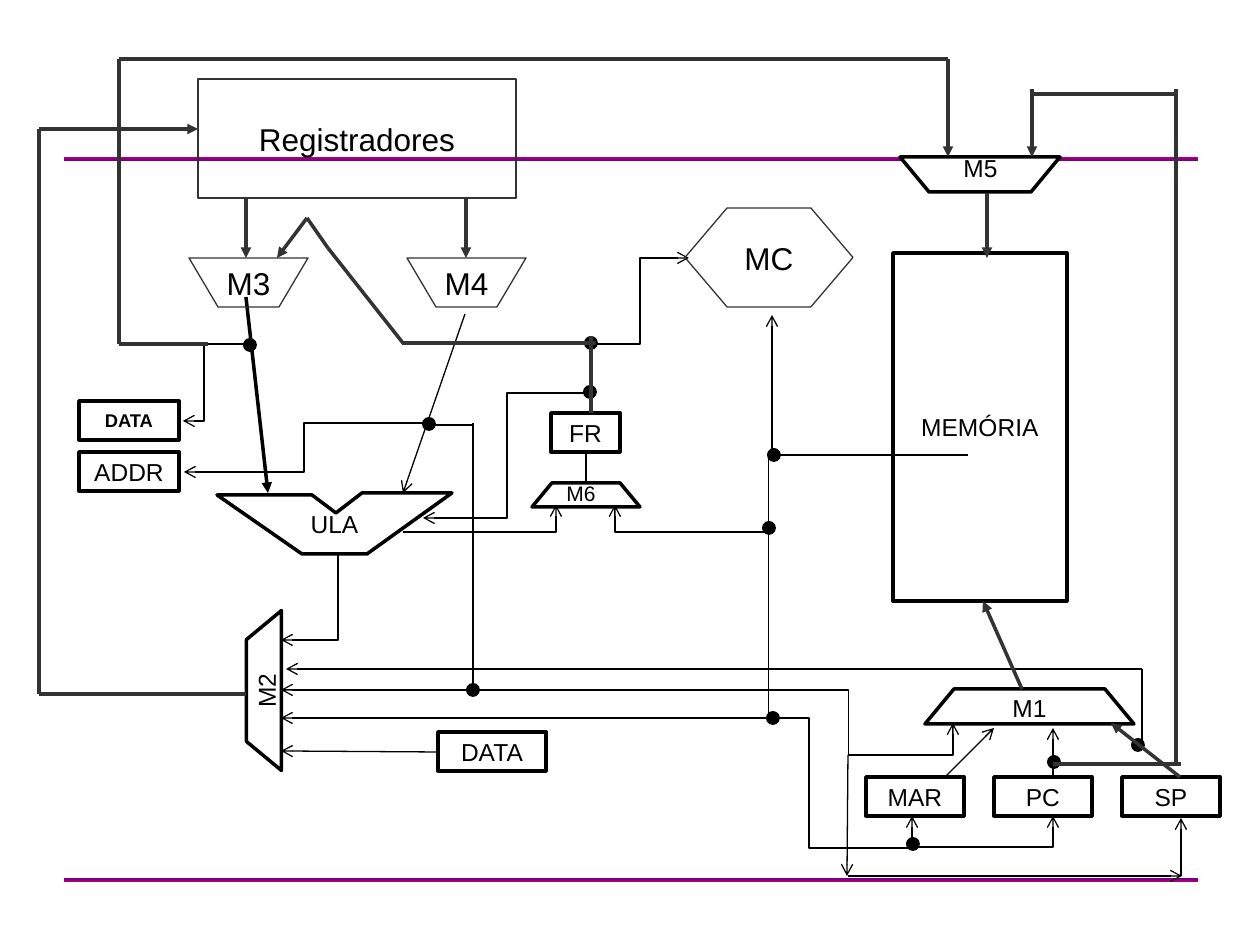
import pptx
import pptx.util
from lxml import etree
from pptx.dml.color import RGBColor
from pptx.enum.shapes import MSO_CONNECTOR, MSO_SHAPE
from pptx.enum.text import MSO_ANCHOR, PP_ALIGN
from pptx.oxml.ns import qn

PX = 914400 // 126
COLORS = {"ink": "000000", "gray": "333333", "paper": "FFFFFF",
          "violet": "66008F", "magenta": "BA0066"}
RECT, TRAPEZOID = MSO_SHAPE.RECTANGLE, MSO_SHAPE.TRAPEZOID

# top, first colour, last colour
RULES = [(157, "violet", "magenta"), (878, "magenta", "violet")]

# label, preset, (left, top, width, height), rotation
UNITS = [
    ("MEMÓRIA", RECT, (893, 253, 174, 348), 0),
    ("M1", TRAPEZOID, (925, 689, 209, 35), 0),
    ("", TRAPEZOID, (900, 157, 160, 35), 180),
    ("M2", TRAPEZOID, (184, 673, 160, 35), 270),
    ("FR", RECT, (551, 413, 69, 39), 0),
    ("", TRAPEZOID, (532, 483, 108, 24), 0),
    ("DATA", RECT, (438, 732, 108, 39), 0),
    ("ADDR", RECT, (79, 452, 100, 39), 0),
] + [(name, RECT, (866 + 128 * i, 777, 98, 39), 0)
     for i, name in enumerate(["MAR", "PC", "SP"])]
DATA_INPUT = (79, 401, 100, 39)
ULA = [(217, 495), (312, 495), (336, 513), (362, 493), (452, 493), (367, 554), (302, 554)]
REGISTERS = (198, 79, 318, 119)
CONTROL = (685, 208, 168, 99)
SMALL_MUXES = [("M4", 407), ("M3", 189)]
MUX_OUTLINE = [(0, 258), (119, 258), (90, 307), (29, 307)]
# label, (left, top, width, height), size
MUX_LABELS = [("M5", (951, 147, 59, 42), 14), ("M6", (554, 474, 54, 38), 12)]

# corner points of each route, in drawing order
BUS_ARROWS = [
    [(945, 777), (994, 728)],
    [(1053, 777), (1053, 728)],
    [(968, 455), (769, 455), (769, 718), (281, 718)],
    [(755, 718), (809, 718), (809, 848), (912, 848), (912, 816)],
    [(916, 847), (1053, 847), (1053, 816)],
    [(344, 690), (849, 690), (849, 755), (953, 755), (953, 723)],
    [(465, 314), (403, 493)],
    [(403, 532), (556, 532), (556, 505)],
    [(767, 532), (615, 532), (615, 505)],
    [(772, 452), (772, 315)],
    [(591, 393), (507, 393), (507, 518), (423, 518)],
    [(438, 752), (281, 751)],
    [(423, 423), (304, 423), (304, 472), (184, 472)],
    [(246, 344), (204, 344), (204, 421), (183, 421)],
    [(591, 344), (640, 344), (640, 258), (689, 258)],
    [(1142, 669), (286, 669)],
    [(1181, 876), (1181, 818)],
    [(848, 876), (1182, 876)],
    [(848, 755), (847, 876)],
]
# these run from the arrowhead back to their source
M2_INPUTS = [[(281, 640), (338, 640), (338, 553)],
             [(281, 690), (473, 690), (473, 423)]]
BUS_LINES = [[(473, 425), (423, 425)], [(586, 483), (586, 452)], [(1142, 748), (1142, 669)]]
M3_TO_ULA = [(246, 297), (268, 493)]
THIN_ARROWS = [
    [(307, 218), (277, 258)], [(246, 198), (246, 258)], [(466, 198), (466, 258)],
    [(39, 129), (198, 129)], [(1180, 777), (1111, 723)], [(948, 59), (948, 157)],
    [(987, 193), (987, 258)], [(1022, 689), (983, 601)], [(1032, 89), (1032, 157)],
]
THIN_LINES = [
    [(246, 694), (39, 694)], [(39, 129), (39, 694)], [(307, 218), (328, 248)],
    [(402, 343), (596, 343)], [(591, 413), (591, 336)], [(328, 248), (403, 343)],
    [(208, 344), (119, 344)], [(119, 59), (119, 344)], [(948, 59), (119, 59)],
    [(1032, 94), (1176, 94)], [(1053, 764), (1181, 764)], [(1176, 764), (1176, 89)],
]
JUNCTIONS = [(591, 343), (590, 392), (429, 424), (250, 345), (473, 690), (773, 718),
             (913, 844), (1054, 762), (769, 528), (774, 455), (1138, 745)]
JUNCTION_SIZE = 14


def rgb(name):
    return RGBColor.from_string(COLORS[name])


def emu(lengths):
    return [n * PX for n in lengths]


def write(shape, text, size=14, bold=False, align=PP_ALIGN.CENTER,
          anchor=MSO_ANCHOR.MIDDLE, wrap=True):
    frame = shape.text_frame
    frame.word_wrap = wrap
    frame.vertical_anchor = anchor
    paragraph = frame.paragraphs[0]
    paragraph.alignment = align
    run = paragraph.add_run()
    run.text = text
    run.font.name = "Arial"
    run.font.size = pptx.util.Pt(size)
    run.font.bold = bold
    run.font.color.rgb = rgb("ink")


def paint(shape, fill=None, line=None, width=0):
    shape.shadow.inherit = False
    if fill:
        shape.fill.solid()
        shape.fill.fore_color.rgb = rgb(fill)
    else:
        shape.fill.background()
    if line:
        shape.line.color.rgb = rgb(line)
        shape.line.width = pptx.util.Pt(width)
    else:
        shape.line.fill.background()
    return shape


def add_unit(slide, preset, box, **look):
    return paint(slide.shapes.add_shape(preset, *emu(box)), **look)


def add_outline(slide, points, **look):
    builder = slide.shapes.build_freeform(*points[0], scale=PX)
    builder.add_line_segments(points[1:], close=True)
    return paint(builder.convert_to_shape(), **look)


def add_wire(slide, points, color="ink", width=0.75, end=None, arrow="arrow"):
    """Draw a straight or elbow connector; end is headEnd or tailEnd."""
    (x1, y1), (x2, y2) = points[0], points[-1]
    bends = len(points) - 2
    kind = MSO_CONNECTOR.ELBOW if bends else MSO_CONNECTOR.STRAIGHT
    wire = slide.shapes.add_connector(kind, *emu((x1, y1, x2, y2)))
    wire.line.color.rgb = rgb(color)
    wire.line.width = pptx.util.Pt(width)
    properties = wire._element.spPr
    if bends:
        geometry = properties.find(qn("a:prstGeom"))
        geometry.set("prst", f"bentConnector{bends + 1}")
        ratios = []
        if bends > 1:
            ratios.append((points[1][0] - x1) / (x2 - x1))
        if bends > 2:
            ratios.append((points[2][1] - y1) / (y2 - y1))
        guides = geometry.find(qn("a:avLst"))
        for i, ratio in enumerate(ratios, 1):
            etree.SubElement(guides, qn("a:gd"), name=f"adj{i}",
                             fmla=f"val {round(ratio * 100000)}")
    if end:
        etree.SubElement(properties.find(qn("a:ln")), qn(f"a:{end}"), type=arrow)
    etree.SubElement(properties, qn("a:effectLst"))


def main():
    deck = pptx.Presentation()
    deck.slide_width, deck.slide_height = emu((1260, 945))
    slide = deck.slides.add_slide(deck.slide_layouts[6])

    for top, *ends in RULES:
        rule = add_unit(slide, RECT, (64, top, 1134, 4))
        rule.fill.gradient()
        rule.fill.gradient_angle = 90
        for stop, color, position in zip(rule.fill.gradient_stops, ends, (0, 1)):
            stop.color.rgb = rgb(color)
            stop.position = position

    solid = {"fill": "paper", "line": "ink", "width": 2}
    write(add_outline(slide, ULA, **solid), "ULA")
    for label, preset, box, rotation in UNITS:
        unit = add_unit(slide, preset, box, **solid)
        unit.rotation = rotation
        if preset == TRAPEZOID:
            unit.adjustments[0] = 0.83
        if label:
            write(unit, label)
    write(add_unit(slide, RECT, DATA_INPUT, **solid), "DATA", size=10.5, bold=True)

    for route in BUS_ARROWS:
        add_wire(slide, route, end="tailEnd")
    for route in M2_INPUTS:
        add_wire(slide, route, end="headEnd")
    for route in BUS_LINES:
        add_wire(slide, route)
    for x, y in JUNCTIONS:
        corner = (x - JUNCTION_SIZE // 2, y - JUNCTION_SIZE // 2)
        add_unit(slide, MSO_SHAPE.OVAL, (*corner, JUNCTION_SIZE, JUNCTION_SIZE), fill="ink")

    for label, box, size in MUX_LABELS:
        write(slide.shapes.add_textbox(*emu(box)), label, size=size,
              align=PP_ALIGN.LEFT, anchor=MSO_ANCHOR.TOP, wrap=False)
    add_wire(slide, M3_TO_ULA, width=0, end="tailEnd", arrow="triangle")
    for label, left in SMALL_MUXES:
        mux = add_outline(slide, [(left + x, y) for x, y in MUX_OUTLINE], line="gray")
        write(mux, label, size=18, wrap=False)
    write(add_unit(slide, RECT, REGISTERS, line="gray"), "Registradores", size=18, wrap=False)
    control = add_unit(slide, MSO_SHAPE.HEXAGON, CONTROL, line="gray")
    control.adjustments[0] = 0.425
    write(control, "MC", size=18, wrap=False)
    for route in THIN_ARROWS:
        add_wire(slide, route, color="gray", width=0, end="tailEnd", arrow="triangle")
    for route in THIN_LINES:
        add_wire(slide, route, color="gray", width=0)

    deck.save("out.pptx")


if __name__ == "__main__":
    main()
